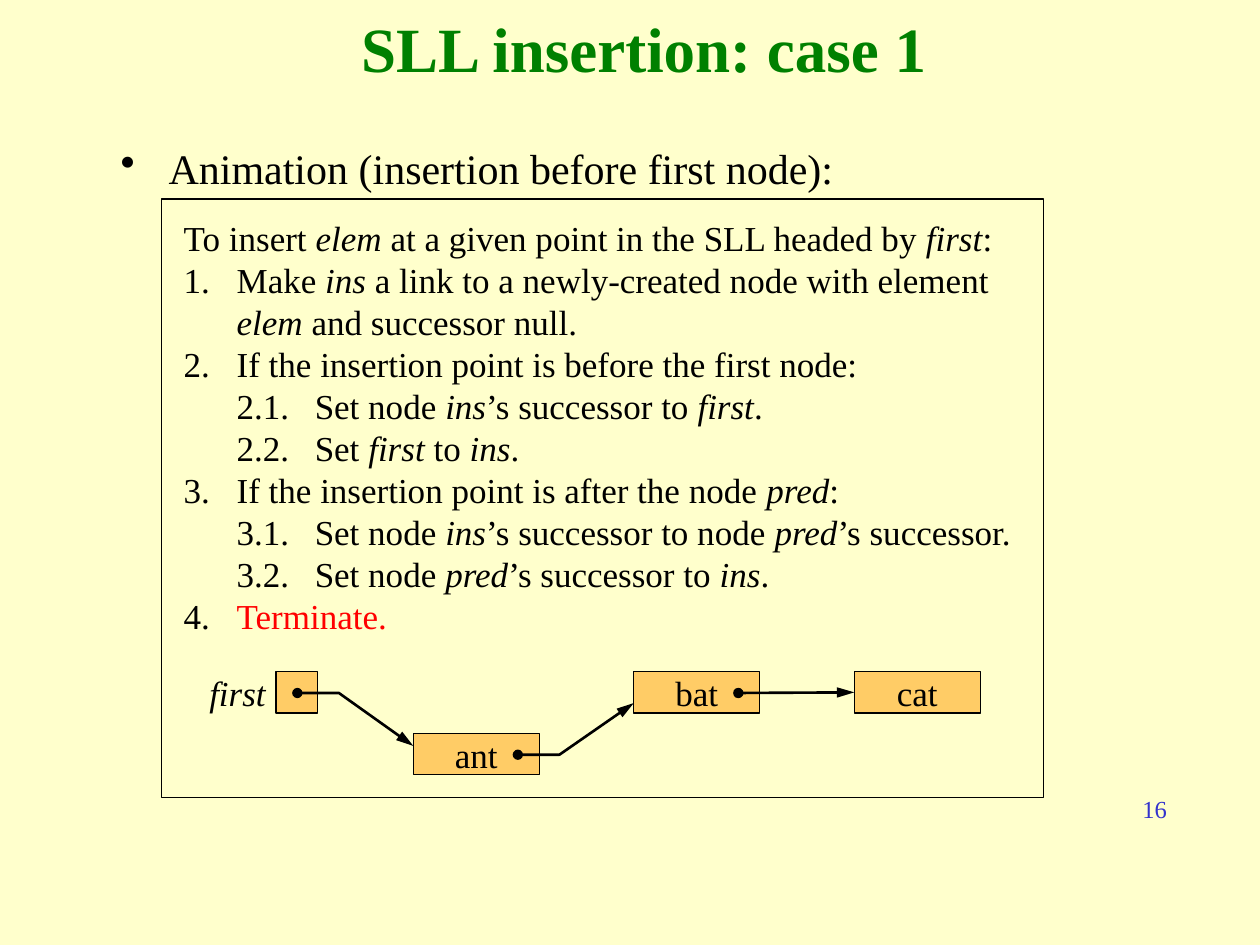
from dataclasses import dataclass

from lxml import etree
from pptx import Presentation
from pptx.dml.color import RGBColor
from pptx.enum.shapes import MSO_CONNECTOR, MSO_SHAPE
from pptx.enum.text import MSO_ANCHOR, MSO_AUTO_SIZE, PP_ALIGN
from pptx.oxml.ns import qn
from pptx.util import Inches, Pt

RECT, STRAIGHT = MSO_SHAPE.RECTANGLE, MSO_CONNECTOR.STRAIGHT
TOP, MIDDLE = MSO_ANCHOR.TOP, MSO_ANCHOR.MIDDLE
LEFT, CENTER, RIGHT = PP_ALIGN.LEFT, PP_ALIGN.CENTER, PP_ALIGN.RIGHT
NO_FIT = MSO_AUTO_SIZE.NONE


@dataclass(frozen=True)
class Theme:
    font: str = "Times New Roman"
    paper: RGBColor = RGBColor(0xFF, 0xFF, 0xCC)
    node: RGBColor = RGBColor(0xFF, 0xCC, 0x66)
    ink: RGBColor = RGBColor(0, 0, 0)
    title: RGBColor = RGBColor(0, 0x80, 0)
    active: RGBColor = RGBColor(0xFF, 0, 0)
    number: RGBColor = RGBColor(0x33, 0x33, 0xCC)
    title_size: Pt = Pt(36)
    bullet_size: Pt = Pt(24)
    text_size: Pt = Pt(20)
    number_size: Pt = Pt(14)
    leading: Pt = Pt(24)
    thin: Pt = Pt(0.75)
    link: Pt = Pt(1.5)


T = Theme()

# Node and link-dot geometry, in inches
NODE_H, NODE_W, DOT = 0.33, 1, 0.17

# (level, colour, text); *stars* mark variables set in italics
STEPS = [
    (0, T.ink, "To insert *elem* at a given point in the SLL headed by *first*:"),
    (1, T.ink, "1.\tMake *ins* a link to a newly-created node with element "
               "*elem* and successor null."),
    (1, T.ink, "2.\tIf the insertion point is before the first node:"),
    (2, T.ink, "2.1.\tSet node *ins*’s successor to *first*."),
    (2, T.ink, "2.2.\tSet *first* to *ins*."),
    (1, T.ink, "3.\tIf the insertion point is after the node *pred*:"),
    (2, T.ink, "3.1.\tSet node *ins*’s successor to node *pred*’s successor."),
    (2, T.ink, "3.2.\tSet node *pred*’s successor to *ins*."),
    (1, T.active, "4.\tTerminate."),
]
# Left margin and first-line indent of each level
INDENTS = [(0, 0), (0.42, -0.42), (1.04, -0.62)]


def style(r, size, color, bold=False, italic=False):
    r.font.name, r.font.size = T.font, size
    r.font.bold, r.font.italic = bold, italic
    r.font.color.rgb = color


def set_indent(p, margin, indent):
    pPr = p._p.get_or_add_pPr()
    pPr.set("marL", str(Inches(margin)))
    pPr.set("indent", str(Inches(indent)))
    return pPr


def set_line(tf, text, size, color, align=LEFT, **look):
    tf.text = text
    tf.word_wrap = True
    p = tf.paragraphs[0]
    p.alignment = align
    style(p.runs[0], size, color, **look)
    return p


def add_box(s, x, y, w, h, inset=True):
    sp = s.shapes.add_textbox(Inches(x), Inches(y), Inches(w), Inches(h))
    if not inset:
        no_inset(sp.text_frame)
    return sp.text_frame


def no_inset(tf):
    tf.margin_left = tf.margin_right = tf.margin_top = tf.margin_bottom = 0


def add_rect(s, x, y, w, h, fill):
    sp = s.shapes.add_shape(RECT, Inches(x), Inches(y), Inches(w), Inches(h))
    sp.shadow.inherit = False
    sp.fill.solid()
    sp.fill.fore_color.rgb = fill
    sp.line.color.rgb, sp.line.width = T.ink, T.thin
    return sp


def style_link(sp, arrow=True):
    """Black line that starts in a dot and may end in an arrowhead."""
    sp.line.color.rgb, sp.line.width = T.ink, T.link
    ln = sp.line._get_or_add_ln()
    etree.SubElement(ln, qn("a:headEnd"), type="oval")
    if arrow:
        etree.SubElement(ln, qn("a:tailEnd"), type="triangle", w="med", len="lg")


def add_straight_link(s, x1, x2, y, target=None):
    cn = s.shapes.add_connector(STRAIGHT, Inches(x1), Inches(y), Inches(x2), Inches(y))
    if target is not None:
        cn.end_connect(target, 1)
    style_link(cn, arrow=target is not None)
    etree.SubElement(cn._element.spPr, qn("a:effectLst"))


def add_bent_link(s, x, y, end_x, end_y):
    fb = s.shapes.build_freeform(Inches(x), Inches(y))
    fb.add_line_segments([(Inches(x + 0.33), Inches(y)),
                          (Inches(end_x), Inches(end_y))], close=False)
    sp = fb.convert_to_shape()
    sp.shadow.inherit = False
    sp.fill.background()
    style_link(sp)


def add_node(s, x, y, text):
    sp = add_rect(s, x, y, NODE_W, NODE_H, T.node)
    tf = sp.text_frame
    no_inset(tf)
    tf.vertical_anchor = TOP
    set_line(tf, text, T.text_size, T.ink, CENTER).line_spacing = T.leading
    return sp


def title(s, x, y, w, h):
    sp = s.shapes.title
    sp.left, sp.top, sp.width, sp.height = map(Inches, (x, y, w, h))
    tf = sp.text_frame
    tf.auto_size, tf.vertical_anchor = NO_FIT, MIDDLE
    set_line(tf, "SLL insertion: case 1", T.title_size, T.title, CENTER, bold=True)


def bullet(s, x, y, w, h):
    p = set_line(add_box(s, x, y, w, h), "Animation (insertion before first node):",
                 T.bullet_size, T.ink)
    pPr = set_indent(p, 0.38, -0.38)
    etree.SubElement(pPr, qn("a:buChar"), char="•")


def algorithm(s, x, y, w, h):
    tf = add_box(s, x, y, w, h)
    tf.word_wrap = True
    for i, (level, color, text) in enumerate(STEPS):
        p = tf.paragraphs[0] if i == 0 else tf.add_paragraph()
        p.line_spacing = T.leading
        set_indent(p, *INDENTS[level])
        # The step number stays black whatever the colour of the step
        label, tab, body = text.rpartition("\t")
        if tab:
            r = p.add_run()
            r.text = label + tab
            style(r, T.text_size, T.ink)
        for j, part in enumerate(body.split("*")):
            if part:
                r = p.add_run()
                r.text = part
                style(r, T.text_size, color, italic=j % 2 == 1)


def linked_list(s, x, y):
    """Variable first, then nodes ant, bat and cat; ant sits one row lower."""
    low, mid = y + 0.49, y + DOT
    first_x, ant_x, bat_x, cat_x = x + 0.58, x + 1.67, x + 3.42, x + 5.17
    dot = NODE_W - DOT

    tf = add_box(s, x, y, 0.5, NODE_H, inset=False)
    p = set_line(tf, "first", T.text_size, T.ink, RIGHT, italic=True)
    p.line_spacing = T.leading
    add_rect(s, first_x, y, NODE_H, NODE_H, T.node)
    add_node(s, ant_x, low, "ant")
    add_node(s, bat_x, y, "bat")
    cat = add_node(s, cat_x, y, "cat")

    add_bent_link(s, first_x + DOT, mid, ant_x, low + 0.1)
    add_bent_link(s, ant_x + dot, low + DOT, bat_x, y + 0.25)
    add_straight_link(s, bat_x + dot, cat_x, mid, cat)
    add_straight_link(s, cat_x + dot, cat_x + dot, mid)


def animation(s, x, y, w, h):
    add_rect(s, x, y, w, h, T.paper)
    algorithm(s, x + 0.08, y + 0.09, w - 0.17, 3.44)
    linked_list(s, x + 0.33, y + 3.75)


def page_number(s, x, y, w, h):
    set_line(add_box(s, x, y, w, h), "16", T.number_size, T.number, RIGHT)


def main():
    prs = Presentation()
    prs.slide_width, prs.slide_height = Inches(10), Inches(7.5)
    s = prs.slides.add_slide(prs.slide_layouts[5])
    s.background.fill.solid()
    s.background.fill.fore_color.rgb = T.paper
    title(s, 0.86, 0, 8.5, 0.75)
    bullet(s, 0.86, 1.08, 8.5, 0.5)
    animation(s, 1.28, 1.58, 7, 4.75)
    page_number(s, 7.28, 6.25, 2.08, 0.5)
    prs.save("out.pptx")


if __name__ == "__main__":
    main()
